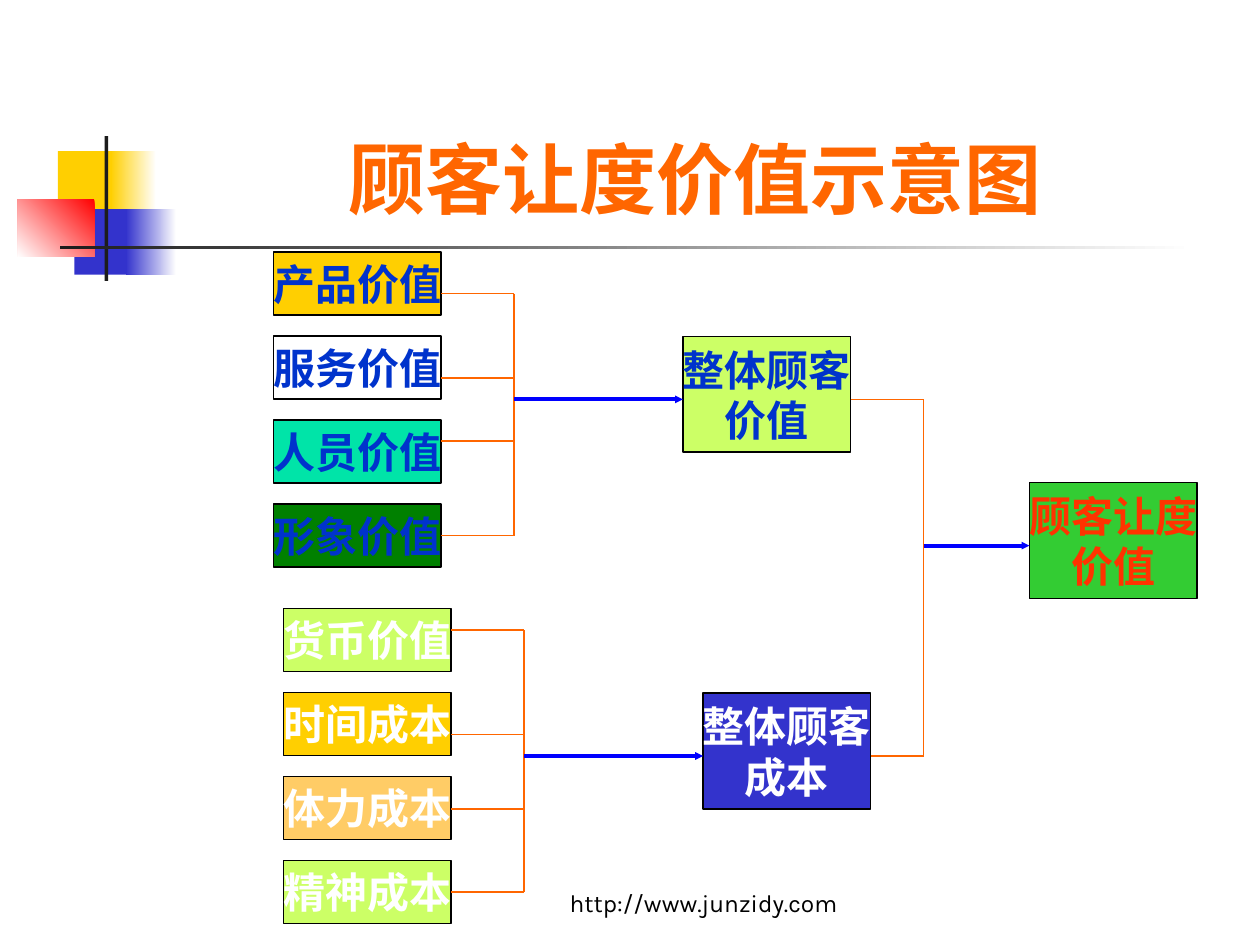
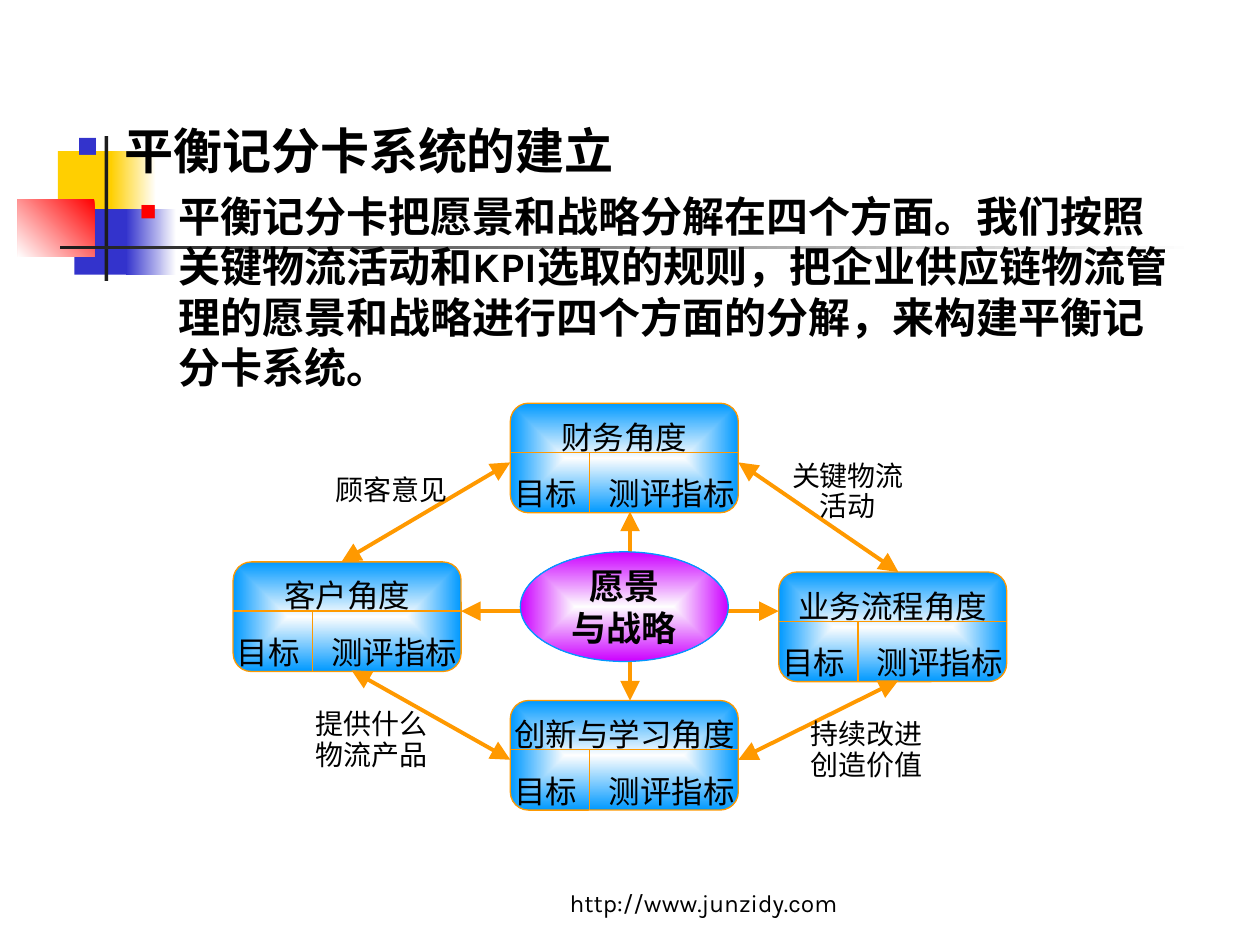
"""Build two slides on customer delivered value and the balanced scorecard."""
import pptx
import pptx.util
from lxml import etree
from pptx.dml.color import RGBColor
from pptx.enum.shapes import MSO_CONNECTOR, MSO_SHAPE
from pptx.enum.text import MSO_ANCHOR, PP_ALIGN
from pptx.oxml.ns import qn

Inches = pptx.util.Inches
Pt = pptx.util.Pt

COLORS = {
    "white": "FFFFFF", "black": "000000", "ink": "1C1C1C", "gold": "FFCF01",
    "indigo": "3333CC", "red": "FF0000", "orange": "FF6600", "blue": "0000FF",
    "navy": "0033CC", "mint": "00E4A8", "green": "008000", "lime": "CCFF66",
    "peach": "FFCC66", "leaf": "33CC33", "scarlet": "FF3300",
    "amber": "FF9900", "sky": "0099FF", "violet": "CC00FF", "glow": "FEFEFE",
}
TITLE_FONT, BODY_FONT = "Karla", "Times New Roman"
FOOTER = "http://www.junzidy.com"

DECOR = [
    ((0.46, 1.2, 0.48, 0.52), "gold", None),
    ((0.88, 1.2, 0.36, 0.52), ("white", "gold"), 180),
    ((0.59, 1.66, 0.46, 0.52), "indigo", None),
    ((1, 1.66, 0.4, 0.52), ("white", "indigo"), 180),
    ((0.14, 1.58, 0.61, 0.46), ("red", "white"), 225),
    ((0.83, 1.08, 0.03, 1.15), "ink", None),
    ((0.48, 1.95, 9, 0.03), ("white", "ink"), 180),
]

VALUE_TITLE = "顾客让度价值示意图"
BOX_W, BOX_H, TOTAL_H, BOX_STEP, BUS_GAP = 1.33, 0.5, 0.92, 2 / 3, 0.58
FACTOR_GROUPS = [
    {"left": 2.17, "top": 2, "text": "navy", "joins": [2.33, 3, 3.5, 4.25],
     "factors": [("产品价值", "gold"), ("服务价值", "white"),
                 ("人员价值", "mint"), ("形象价值", "green")],
     "total": ("整体顾客\n价值", 5.42, 2.67, "lime"), "arrow_y": 3.17},
    {"left": 2.25, "top": 4.83, "text": "white", "joins": [5, 5.83, 6.42, 7.08],
     "factors": [("货币价值", "lime"), ("时间成本", "gold"),
                 ("体力成本", "peach"), ("精神成本", "lime")],
     "total": ("整体顾客\n成本", 5.58, 5.5, "indigo"), "arrow_y": 6},
]
RESULT = ("顾客让度\n价值", 8.17, 3.83)
RESULT_BUS_X, RESULT_ARROW_Y = 7.33, 4.33

OUTLINE = [
    ("平衡记分卡系统的建立", 28, 0, 0.38, -0.38, "indigo", 60),
    ("平衡记分卡把愿景和战略分解在四个方面。我们按照关键物流活动和KPI选取的规则，"
     "把企业供应链物流管理的愿景和战略进行四个方面的分解，来构建平衡记分卡系统。",
     24, 6, 0.81, -0.31, "red", 55),
]
CARD_W, CARD_H, CARD_ROW, CARD_COL = 1.81, 0.87, 0.39, 0.63
CARD_FOOT = "目标　测评指标"
CARDS = [("创新与学习角度", 4.05, 5.56), ("财务角度", 4.05, 3.2),
         ("客户角度", 1.85, 4.46), ("业务流程角度", 6.18, 4.54)]
VISION = ("愿景\n与战略", (4.13, 4.38, 1.65, 0.87))
AXES = [((5, 4.06), (5, 5.56)), ((3.66, 4.85), (6.18, 4.85))]
CARD_LINKS = [((4.05, 3.67), (2.71, 4.46)), ((5.86, 3.67), (7.13, 4.54)),
              ((2.79, 5.32), (4.05, 6.03)), ((5.86, 6.03), (7.13, 5.4))]
LINK_LABELS = [("顾客意见", 2.64, 3.75, 1), ("关键物流活动", 6.26, 3.67, 0.9),
               ("提供什么\n物流产品", 2.48, 5.64, 0.9),
               ("持续改进创造价值", 6.41, 5.72, 0.9)]


def rgb(name):
    return RGBColor.from_string(COLORS[name])


def write(sp, text, size, color="black", font=BODY_FONT, bold=False, wrap=True,
          anchor=MSO_ANCHOR.MIDDLE, align=PP_ALIGN.CENTER, spacing=None,
          insets=(0.1, 0.05, 0.1, 0.05)):
    tf = sp.text_frame
    tf.text = text
    tf.word_wrap = wrap
    tf.vertical_anchor = anchor
    tf.margin_left, tf.margin_top, tf.margin_right, tf.margin_bottom = map(Inches, insets)
    for p in tf.paragraphs:
        p.alignment = align
        if spacing:
            p.line_spacing = spacing
        for r in p.runs:
            r.font.size, r.font.name, r.font.bold = Pt(size), font, bold
            r.font.color.rgb = rgb(color)
    return tf


def add_text(slide, box, text, size, **style):
    return write(slide.shapes.add_textbox(*map(Inches, box)), text, size, **style)


def add_block(slide, kind, box, fill, angle=None, line=None, weight=1):
    sp = slide.shapes.add_shape(kind, *map(Inches, box))
    sp.shadow.inherit = False
    if isinstance(fill, str):
        sp.fill.solid()
        sp.fill.fore_color.rgb = rgb(fill)
    else:
        sp.fill.gradient()
        for stop, name in zip(sp.fill.gradient_stops, fill):
            stop.color.rgb = rgb(name)
        if angle is None:
            lin = next(sp._element.spPr.iter(qn("a:lin")))
            radial = etree.Element(qn("a:path"), path="rect")
            etree.SubElement(radial, qn("a:fillToRect"), l="50000", t="50000",
                             r="50000", b="50000")
            lin.getparent().replace(lin, radial)
        else:
            sp.fill.gradient_angle = angle
    if line:
        sp.line.color.rgb = rgb(line)
        sp.line.width = Pt(weight)
    else:
        sp.line.fill.background()
    return sp


def add_line(slide, start, end, color, weight, heads=(), head_size="med"):
    cx = slide.shapes.add_connector(MSO_CONNECTOR.STRAIGHT, *map(Inches, start + end))
    cx.line.color.rgb = rgb(color)
    cx.line.width = Pt(weight)
    sp_pr = cx._element.spPr
    for head in heads:
        etree.SubElement(sp_pr.find(qn("a:ln")), qn("a:" + head), type="triangle",
                         w=head_size, len=head_size)
    etree.SubElement(sp_pr, qn("a:effectLst"))


def add_base(prs):
    slide = prs.slides.add_slide(prs.slide_layouts[6])
    for box, fill, angle in DECOR:
        add_block(slide, MSO_SHAPE.RECTANGLE, box, fill, angle)
    add_text(slide, (4, 6.83, 3.17, 0.5), FOOTER, 14, font=TITLE_FONT,
             anchor=MSO_ANCHOR.BOTTOM)
    return slide


def add_value_box(slide, text, left, top, height, fill, color):
    sp = add_block(slide, MSO_SHAPE.RECTANGLE, (left, top, BOX_W, height), fill,
                   line="black")
    write(sp, text, 24, color=color, bold=True, wrap=False)


def build_value_slide(prs):
    slide = add_base(prs)
    add_text(slide, (1.26, 0.23, 8.52, 1.6), VALUE_TITLE, 44, color="orange",
             font=TITLE_FONT, bold=True, anchor=MSO_ANCHOR.BOTTOM)
    for group in FACTOR_GROUPS:
        for i, (label, fill) in enumerate(group["factors"]):
            add_value_box(slide, label, group["left"], group["top"] + i * BOX_STEP,
                          BOX_H, fill, group["text"])
        label, left, top, fill = group["total"]
        add_value_box(slide, label, left, top, TOTAL_H, fill, group["text"])
        edge, joins, y = group["left"] + BOX_W, group["joins"], group["arrow_y"]
        bus = edge + BUS_GAP
        for join in joins:
            add_line(slide, (edge, join), (bus, join), "orange", 1)
        add_line(slide, (bus, joins[0]), (bus, joins[-1]), "orange", 1)
        add_line(slide, (bus, y), (left, y), "blue", 2.25, ["tailEnd"], "sm")
        add_line(slide, (left + BOX_W, y), (RESULT_BUS_X, y), "orange", 1)
    label, left, top = RESULT
    add_value_box(slide, label, left, top, TOTAL_H, "leaf", "scarlet")
    first, last = (group["arrow_y"] for group in FACTOR_GROUPS)
    add_line(slide, (RESULT_BUS_X, first), (RESULT_BUS_X, last), "orange", 1)
    add_line(slide, (RESULT_BUS_X, RESULT_ARROW_Y), (left, RESULT_ARROW_Y), "blue",
             2.25, ["tailEnd"], "sm")


def add_outline(slide):
    tf = add_text(slide, (0.51, 0.91, 9, 2.28), "\n".join(row[0] for row in OUTLINE),
                  24, font=TITLE_FONT, bold=True, anchor=MSO_ANCHOR.TOP,
                  align=PP_ALIGN.LEFT)
    for level, (p, row) in enumerate(zip(tf.paragraphs, OUTLINE)):
        _, size, before, margin, indent, color, percent = row
        p.level = level
        p_pr = p._p.get_or_add_pPr()
        p_pr.set("marL", str(Inches(margin)))
        p_pr.set("indent", str(Inches(indent)))
        bullet_color = etree.SubElement(p_pr, qn("a:buClr"))
        etree.SubElement(bullet_color, qn("a:srgbClr"), val=COLORS[color])
        etree.SubElement(p_pr, qn("a:buSzPct"), val=str(percent * 1000))
        etree.SubElement(p_pr, qn("a:buChar"), char="■")
        p.space_before = Pt(before)
        for r in p.runs:
            r.font.size = Pt(size)


def add_card(slide, label, left, top):
    sp = add_block(slide, MSO_SHAPE.ROUNDED_RECTANGLE, (left, top, CARD_W, CARD_H),
                   ("glow", "sky"), line="amber", weight=0.75)
    write(sp, f"{label}\n{CARD_FOOT}", 18, wrap=False, spacing=1.5,
          insets=(0.1, 0.01, 0.1, 0.05))
    row, col = top + CARD_ROW, left + CARD_COL
    add_line(slide, (left, row), (left + CARD_W, row), "amber", 0.75)
    add_line(slide, (col, row), (col, top + CARD_H), "amber", 0.75)


def build_scorecard_slide(prs):
    slide = add_base(prs)
    add_outline(slide)
    for card in CARDS:
        add_card(slide, *card)
    for start, end in AXES + CARD_LINKS:
        add_line(slide, start, end, "amber", 2.25, ["headEnd", "tailEnd"], "lg")
    text, box = VISION
    sp = add_block(slide, MSO_SHAPE.OVAL, box, ("glow", "violet"), line="sky",
                   weight=0.75)
    write(sp, text, 20, bold=True, wrap=False)
    for text, left, top, spacing in LINK_LABELS:
        add_text(slide, (left, top, 0.94, 0.55), text, 16, spacing=spacing,
                 anchor=MSO_ANCHOR.TOP, insets=(0, 0, 0, 0))


def main():
    prs = pptx.Presentation()
    prs.slide_width, prs.slide_height = Inches(10), Inches(7.5)
    build_value_slide(prs)
    build_scorecard_slide(prs)
    prs.save("out.pptx")


if __name__ == "__main__":
    main()
